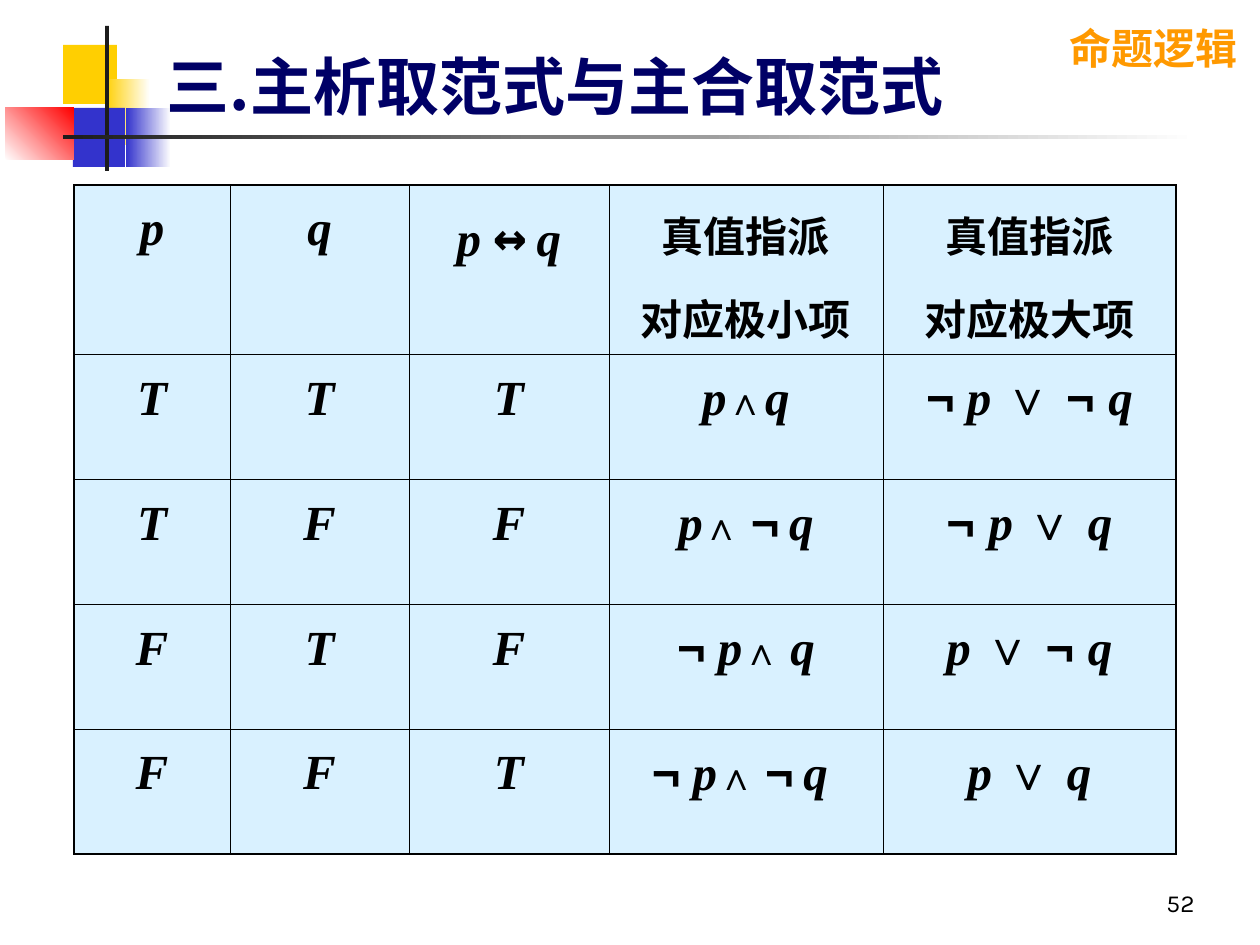
import pptx
import pptx.util
import pptx.dml.color
import pptx.enum.shapes
import pptx.enum.text
import pptx.oxml.ns
import lxml.etree

SCALE = 914400 / 126
RGB = pptx.dml.color.RGBColor
ALIGN = pptx.enum.text.PP_ALIGN
ANCHOR = pptx.enum.text.MSO_ANCHOR
YELLOW = RGB(0xFF, 0xCF, 0x01)
BLUE = RGB(0x33, 0x33, 0xCC)
RED = RGB(0xFF, 0x00, 0x00)
WHITE = RGB(0xFF, 0xFF, 0xFF)
DARK = RGB(0x1C, 0x1C, 0x1C)
BLACK = RGB(0x00, 0x00, 0x00)
NAVY = RGB(0x00, 0x00, 0x66)
ORANGE = RGB(0xFF, 0x99, 0x00)
PALE = RGB(0xD9, 0xF1, 0xFF)

HAN = "Noto Sans CJK SC"
SERIF = "Times New Roman"
LETTER = (SERIF, 28, True)
SYMBOLS = {
    "¬": ("Arial", 28, False),
    "∨": ("Arial", 28, False),
    "∧": (SERIF, 22, False),
    "↔": ("DejaVu Sans Mono", 32, False),
    "": (SERIF, 22, False),
}
COLUMNS = [156, 179, 200, 274, 293]
ROWS = [145, 125, 125, 125, 125]
HEADINGS = ["真值指派/对应极小项", "真值指派/对应极大项"]
FORMULAS = [
    ["p", "q", "p |↔| |q"],
    ["T", "T", "T", "p|∧|q", "¬| p |∨ ¬ |q"],
    ["T", "F", "F", "p|∧ |¬| |q", "¬ |p |∨ |q"],
    ["F", "T", "F", "¬| p|∧ |q", "p |∨ ¬ |q"],
    ["F", "F", "T", "¬| p|∧ |¬| |q ", "p |∨ |q"],
]


def px(length):
    """Turn px into EMU."""
    return pptx.util.Emu(round(length * SCALE))


def add_span(para, text, font, size, color, bold=True, italic=False, han=None):
    """Add one formatted run to a paragraph."""
    span = para.add_run()
    span.text = text
    span.font.name = font
    span.font.size = pptx.util.Pt(size)
    span.font.bold = bold
    span.font.italic = italic
    span.font.color.rgb = color
    if han:
        east = lxml.etree.SubElement(span.font._element, pptx.oxml.ns.qn("a:ea"))
        east.set("typeface", han)


def add_block(page, box, color, fade=None, angle=0):
    """Add a plain or fading rectangle without an outline."""
    block = page.shapes.add_shape(
        pptx.enum.shapes.MSO_SHAPE.RECTANGLE, *map(px, box))
    block.shadow.inherit = False
    block.line.fill.background()
    if fade is None:
        block.fill.solid()
        block.fill.fore_color.rgb = color
        return
    block.fill.gradient()
    block.fill.gradient_angle = angle
    for stop, shade in zip(block.fill.gradient_stops, (color, fade)):
        stop.color.rgb = shade


def add_ornament(page, left, top):
    """Draw the coloured squares and crossing rules of the heading."""
    blocks = [
        (58, 19, 54, 59, YELLOW),
        (100, 53, 45, 66, YELLOW, WHITE),
        (68, 82, 52, 59, BLUE),
        (121, 82, 45, 59, BLUE, WHITE),
        (0, 82, 69, 52, WHITE, RED, 45),
        (100, 0, 4, 145, DARK),
        (58, 109, 1134, 4, DARK, WHITE),
    ]
    for x, y, width, height, *paint in blocks:
        add_block(page, (left + x, top + y, width, height), *paint)


def add_title(page, box, text):
    """Place the title placeholder in front of the ornament."""
    title = page.shapes.title
    title.left, title.top, title.width, title.height = map(px, box)
    title.element.getparent().append(title.element)
    frame = title.text_frame
    frame.auto_size = pptx.enum.text.MSO_AUTO_SIZE.NONE
    frame.vertical_anchor = ANCHOR.BOTTOM
    para = frame.paragraphs[0]
    para.alignment = ALIGN.LEFT
    add_span(para, text, HAN, 36, NAVY, han=HAN)


def add_label(page, box, text, size, color, bold, align, anchor, wrap):
    """Add a one-line text box."""
    frame = page.shapes.add_textbox(*map(px, box)).text_frame
    frame.word_wrap = wrap
    frame.vertical_anchor = anchor
    para = frame.paragraphs[0]
    para.alignment = align
    add_span(para, text, "Karla", size, color, bold, han=HAN)


def set_borders(cell, first_row, last_row, first_column, last_column):
    """Rule a cell, heavier on the outside of the table."""
    properties = cell._tc.get_or_add_tcPr()
    edges = {"L": first_column, "R": last_column, "T": first_row, "B": last_row}
    for place, (edge, outer) in enumerate(edges.items()):
        line = lxml.etree.Element(pptx.oxml.ns.qn(f"a:ln{edge}"))
        line.set("w", str(pptx.util.Pt(1.08 if outer else 0.45)))
        fill = lxml.etree.SubElement(line, pptx.oxml.ns.qn("a:solidFill"))
        lxml.etree.SubElement(fill, pptx.oxml.ns.qn("a:srgbClr")).set("val", str(BLACK))
        properties.insert(place, line)


def next_para(frame, index, space):
    """Return a centred paragraph of a table cell."""
    para = frame.add_paragraph() if index else frame.paragraphs[0]
    para.alignment = ALIGN.CENTER
    para.line_spacing = 1.2
    para.space_before = pptx.util.Pt(space)
    return para


def write_heading(frame, heading):
    """Write a column heading, one paragraph for each part."""
    for index, text in enumerate(heading.split("/")):
        add_span(next_para(frame, index, 6), text, SERIF, 24, BLACK, han=HAN)


def write_formula(frame, formula):
    """Write a formula run by run."""
    para = next_para(frame, 0, 7)
    for text in formula.split("|"):
        font, size, italic = SYMBOLS.get(text.strip()[:1], LETTER)
        add_span(para, text, font, size, BLACK, italic=italic)


def add_truth_table(page, left, top):
    """Build the truth table with its minterms and maxterms."""
    box = (left, top, sum(COLUMNS), sum(ROWS))
    table = page.shapes.add_table(len(ROWS), len(COLUMNS), *map(px, box)).table
    table.first_row = table.horz_banding = False
    for column, width in zip(table.columns, COLUMNS):
        column.width = px(width)
    for row, height in zip(table.rows, ROWS):
        row.height = px(height)
    last_row, last_column = len(ROWS) - 1, len(COLUMNS) - 1
    for r, formulas in enumerate(FORMULAS):
        for c in range(len(COLUMNS)):
            cell = table.cell(r, c)
            cell.fill.solid()
            cell.fill.fore_color.rgb = PALE
            set_borders(cell, r == 0, r == last_row, c == 0, c == last_column)
            if c < len(formulas):
                write_formula(cell.text_frame, formulas[c])
            else:
                write_heading(cell.text_frame, HEADINGS[c - len(formulas)])


def main():
    """Build and save the slide."""
    deck = pptx.Presentation()
    deck.slide_width, deck.slide_height = px(1260), px(945)
    page = deck.slides.add_slide(deck.slide_layouts[5])
    add_ornament(page, 5, 26)
    add_label(page, (1057, 16, 193, 63), "命题逻辑", 24, ORANGE, True,
              ALIGN.LEFT, ANCHOR.TOP, False)
    add_title(page, (154, 26, 1042, 103), "三.主析取范式与主合取范式")
    add_truth_table(page, 74, 185)
    add_label(page, (945, 861, 262, 63), "52", 14, BLACK, False,
              ALIGN.RIGHT, ANCHOR.BOTTOM, True)
    deck.save("out.pptx")


if __name__ == "__main__":
    main()
